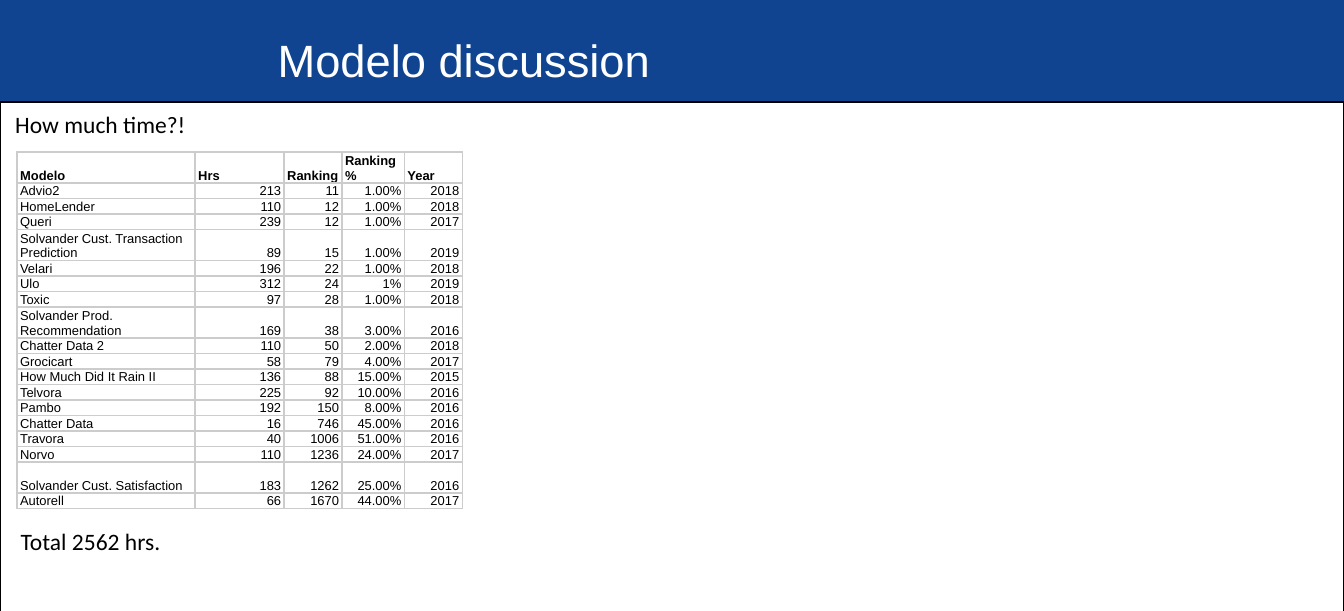
import dataclasses

import lxml.etree
import pptx
import pptx.dml.color
import pptx.enum.shapes
import pptx.enum.text
import pptx.oxml.ns
import pptx.util

SLIDE_W = pptx.util.Inches(8.66)
SLIDE_H = pptx.util.Inches(3.94)
BLUE, WHITE, BLACK, GREY = "104490", "FFFFFF", "000000", "CCCCCC"
ALIGN = pptx.enum.text.PP_ALIGN
ANCHOR = pptx.enum.text.MSO_ANCHOR


@dataclasses.dataclass(frozen=True)
class Box:
    left: float
    top: float
    width: float
    height: float

    def emu(self) -> tuple[int, int, int, int]:
        return (round(SLIDE_W * self.left / 100), round(SLIDE_H * self.top / 100),
                round(SLIDE_W * self.width / 100), round(SLIDE_H * self.height / 100))


@dataclasses.dataclass(frozen=True)
class Style:
    size: float
    font: str
    color: str = BLACK
    bold: bool = False


@dataclasses.dataclass(frozen=True)
class Contest:
    name: str
    hours: int
    ranking: int
    percent: str
    year: int
    lines: int = 1

    def texts(self) -> list[str]:
        return [self.name, str(self.hours), str(self.ranking), self.percent, str(self.year)]


TITLE_BOX = Box(19.5, 4.06, 61.55, 11.42)
PANEL_BOX = Box(0, 16.75, 100, 84.52)
TABLE_BOX = Box(1.27, 24.87, 33.14, 58.38)
TOTAL_BOX = Box(0.4, 85.03, 13.4, 7.11)
TITLE = Style(21, "Arial", WHITE)
BODY = Style(10.9, "Calibri")
CELL = Style(6, "Arial")
HEAD = Style(6, "Arial", bold=True)

COLUMN_SHARES = [40, 20, 13, 14, 13]
HEADINGS = ["Modelo", "Hrs", "Ranking", "Ranking%", "Year"]
HEADING_LINES = 2
CONTESTS = [
    Contest("Advio2", 213, 11, "1.00%", 2018),
    Contest("HomeLender", 110, 12, "1.00%", 2018),
    Contest("Queri", 239, 12, "1.00%", 2017),
    Contest("Solvander Cust. Transaction Prediction", 89, 15, "1.00%", 2019, 2),
    Contest("Velari", 196, 22, "1.00%", 2018),
    Contest("Ulo", 312, 24, "1%", 2019),
    Contest("Toxic", 97, 28, "1.00%", 2018),
    Contest("Solvander Prod. Recommendation", 169, 38, "3.00%", 2016, 2),
    Contest("Chatter Data 2", 110, 50, "2.00%", 2018),
    Contest("Grocicart", 58, 79, "4.00%", 2017),
    Contest("How Much Did It Rain II", 136, 88, "15.00%", 2015),
    Contest("Telvora", 225, 92, "10.00%", 2016),
    Contest("Pambo", 192, 150, "8.00%", 2016),
    Contest("Chatter Data", 16, 746, "45.00%", 2016),
    Contest("Travora", 40, 1006, "51.00%", 2016),
    Contest("Norvo", 110, 1236, "24.00%", 2017),
    Contest("Solvander Cust. Satisfaction", 183, 1262, "25.00%", 2016, 2),
    Contest("Autorell", 66, 1670, "44.00%", 2017),
]


def rgb(color: str) -> pptx.dml.color.RGBColor:
    return pptx.dml.color.RGBColor.from_string(color)


def write(tf, text: str, style: Style, align=ALIGN.LEFT) -> None:
    p = tf.paragraphs[0]
    p.alignment = align
    r = p.add_run()
    r.text = text
    r.font.size = pptx.util.Pt(style.size)
    r.font.name = style.font
    r.font.bold = style.bold
    r.font.color.rgb = rgb(style.color)


def write_shape(sp, text: str, style: Style) -> None:
    tf = sp.text_frame
    tf.word_wrap = True
    tf.auto_size = pptx.enum.text.MSO_AUTO_SIZE.NONE
    tf.vertical_anchor = ANCHOR.TOP
    write(tf, text, style)


def add_borders(cell) -> None:
    qn = pptx.oxml.ns.qn
    properties = cell._tc.get_or_add_tcPr()
    for i, side in enumerate(["lnL", "lnR", "lnT", "lnB"]):
        line = lxml.etree.Element(qn(f"a:{side}"), w=str(pptx.util.Pt(0.75)))
        fill = lxml.etree.SubElement(line, qn("a:solidFill"))
        lxml.etree.SubElement(fill, qn("a:srgbClr"), val=GREY)
        properties.insert(i, line)


def fill_cell(cell, text: str, style: Style, align) -> None:
    cell.fill.background()
    cell.vertical_anchor = ANCHOR.BOTTOM
    cell.margin_left = cell.margin_right = pptx.util.Inches(0.02)
    cell.margin_top = cell.margin_bottom = 0
    write(cell.text_frame, text, style, align)
    add_borders(cell)


def add_contest_table(s) -> None:
    rows = [HEADINGS] + [contest.texts() for contest in CONTESTS]
    lines = [HEADING_LINES] + [contest.lines for contest in CONTESTS]
    left, top, width, height = TABLE_BOX.emu()
    table = s.shapes.add_table(len(rows), len(HEADINGS), left, top, width, height).table
    table.first_row = table.horz_banding = False
    for column, share in zip(table.columns, COLUMN_SHARES):
        column.width = width * share // sum(COLUMN_SHARES)
    for row, count in zip(table.rows, lines):
        row.height = height * count // sum(lines)
    for i, texts in enumerate(rows):
        for j, text in enumerate(texts):
            align = ALIGN.RIGHT if i and j else ALIGN.LEFT
            fill_cell(table.cell(i, j), text, CELL if i else HEAD, align)


def add_panel(s) -> None:
    sp = s.shapes.add_shape(pptx.enum.shapes.MSO_SHAPE.RECTANGLE, *PANEL_BOX.emu())
    sp.shadow.inherit = False
    sp.fill.solid()
    sp.fill.fore_color.rgb = rgb(WHITE)
    sp.line.color.rgb = rgb(BLACK)
    sp.line.width = pptx.util.Pt(1)
    write_shape(sp, "How much time?!", BODY)


def main() -> None:
    prs = pptx.Presentation()
    prs.slide_width, prs.slide_height = SLIDE_W, SLIDE_H
    s = prs.slides.add_slide(prs.slide_layouts.get_by_name("Title Only"))
    s.background.fill.solid()
    s.background.fill.fore_color.rgb = rgb(BLUE)
    title = s.shapes.title
    title.left, title.top, title.width, title.height = TITLE_BOX.emu()
    write_shape(title, "Modelo discussion", TITLE)
    add_panel(s)
    add_contest_table(s)
    write_shape(s.shapes.add_textbox(*TOTAL_BOX.emu()), "Total 2562 hrs.", BODY)
    prs.save("out.pptx")


if __name__ == "__main__":
    main()
